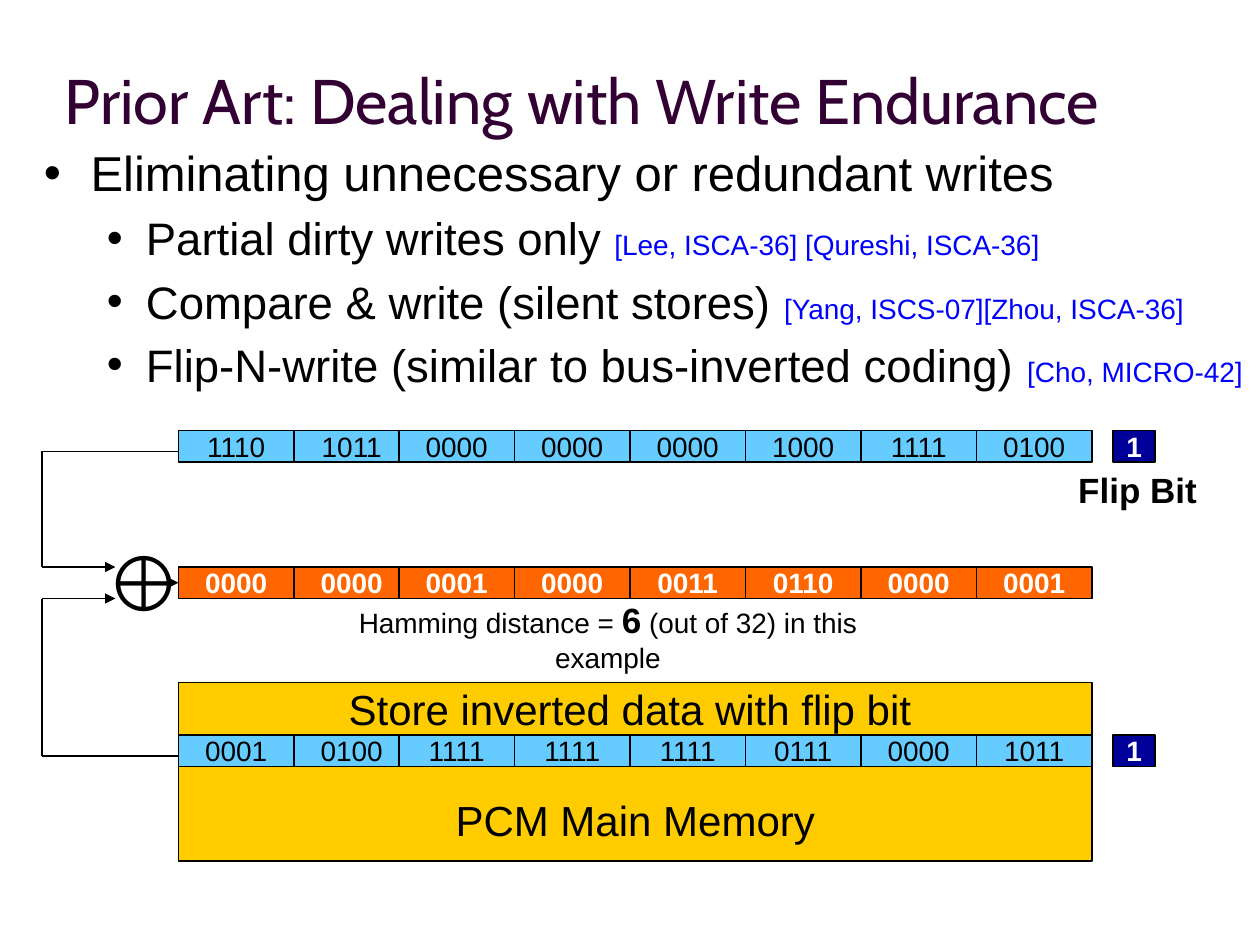
import pptx
import pptx.util
import pptx.dml.color
import pptx.enum.shapes
import pptx.enum.text
import pptx.oxml.ns
from lxml import etree

Pt = pptx.util.Pt
RGB = pptx.dml.color.RGBColor
ANCHOR = pptx.enum.text.MSO_ANCHOR
ALIGN = pptx.enum.text.PP_ALIGN
qn = pptx.oxml.ns.qn

BLACK = RGB(0x00, 0x00, 0x00)
WHITE = RGB(0xFF, 0xFF, 0xFF)
PLUM = RGB(0x33, 0x00, 0x33)
CITE_BLUE = RGB(0x00, 0x00, 0xFF)
SKY = RGB(0x66, 0xCC, 0xFF)
ORANGE = RGB(0xFF, 0x66, 0x00)
NAVY = RGB(0x00, 0x00, 0x99)
GOLD = RGB(0xFF, 0xCC, 0x00)

COLS, ROWS = 120, 90
CELL_W, CELL_H = 11, 3


def grid(n):
    return pptx.util.Inches(n / 12)


def add_run(p, text, size, color=BLACK, bold=False, font="Arial"):
    r = p.add_run()
    r.text = text
    r.font.size = Pt(size)
    r.font.name = font
    r.font.bold = bold
    r.font.color.rgb = color


def add_text(s, box, anchor=ANCHOR.TOP, wrap=False, align=ALIGN.CENTER):
    sp = s.shapes.add_textbox(*map(grid, box))
    tf = sp.text_frame
    tf.word_wrap = wrap
    tf.vertical_anchor = anchor
    tf.paragraphs[0].alignment = align
    return tf


def add_rect(s, box, fill, text, size=16, color=BLACK, bold=False):
    sp = s.shapes.add_shape(pptx.enum.shapes.MSO_SHAPE.RECTANGLE, *map(grid, box))
    sp.shadow.inherit = False
    sp.fill.solid()
    sp.fill.fore_color.rgb = fill
    sp.line.color.rgb = BLACK
    sp.line.width = Pt(0.75)
    tf = sp.text_frame
    tf.word_wrap = False
    tf.vertical_anchor = ANCHOR.MIDDLE
    p = tf.paragraphs[0]
    p.alignment = ALIGN.CENTER
    add_run(p, text, size, color, bold)
    return sp


def add_line(s, x1, y1, x2, y2, arrow=False):
    line = s.shapes.add_connector(
        pptx.enum.shapes.MSO_CONNECTOR.STRAIGHT, *map(grid, (x1, y1, x2, y2)))
    line.line.color.rgb = BLACK
    line.line.width = Pt(0.75)
    if arrow:
        etree.SubElement(line.line._get_or_add_ln(), qn("a:tailEnd"), type="triangle")
    etree.SubElement(line._element.spPr, qn("a:effectLst"))
    return line


def add_bullet(p, left, hanging):
    pPr = p._p.get_or_add_pPr()
    pPr.set("marL", str(pptx.util.Inches(left)))
    pPr.set("indent", str(-pptx.util.Inches(hanging)))
    color = etree.SubElement(pPr, qn("a:buClr"))
    etree.SubElement(color, qn("a:srgbClr"), val=str(BLACK))
    etree.SubElement(pPr, qn("a:buFont"), typeface="Arial")
    etree.SubElement(pPr, qn("a:buChar"), char="•")


def title(s, box):
    tf = add_text(s, box, ANCHOR.MIDDLE, True, ALIGN.LEFT)
    add_run(tf.paragraphs[0], "Prior Art: Dealing with Write Endurance", 36, PLUM, font="Cabin")


def techniques(s, box):
    tf = add_text(s, box, wrap=True, align=ALIGN.LEFT)
    p = tf.paragraphs[0]
    add_bullet(p, 0.37, 0.37)
    add_run(p, "Eliminating unnecessary or redundant writes", 28)
    for text, cite in (
        ("Partial dirty writes only ", "[Lee, ISCA-36] [Qureshi, ISCA-36]"),
        ("Compare & write (silent stores) ", "[Yang, ISCS-07][Zhou, ISCA-36]"),
        ("Flip-N-write (similar to bus-inverted coding) ", "[Cho, MICRO-42]"),
    ):
        p = tf.add_paragraph()
        p.level = 1
        p.space_before = Pt(5)
        add_bullet(p, 0.81, 0.31)
        add_run(p, text, 26)
        add_run(p, cite, 16, CITE_BLUE)


def word_row(s, x, y, words, fill, color=BLACK, bold=False):
    cells = []
    for i, word in enumerate(words.split()):
        overlap = 1 if i >= 2 else 0
        box = (x + CELL_W * i - overlap, y, CELL_W, CELL_H)
        cells.append(add_rect(s, box, fill, word, 16, color, bold))
    return cells


def flip_bit(s, x, y):
    add_rect(s, (x, y, 4, CELL_H), NAVY, "1", 16, WHITE, True)


def memory(s, box):
    x, y, w, h = box
    block = add_rect(s, box, GOLD, "PCM Main Memory", 24)
    block.text_frame.vertical_anchor = ANCHOR.BOTTOM
    block.text_frame.margin_bottom = grid(1.5)
    word_row(s, x, y + 5, "0001 0100 1111 1111 1111 0111 0000 1011", SKY)
    tf = add_text(s, (x + 15, y - 0.5, 56, 6))
    add_run(tf.paragraphs[0], "Store inverted data with flip bit", 24)
    flip_bit(s, x + w + 2, y + 5)


def new_data(s, x, y):
    word_row(s, x, y, "1110 1011 0000 0000 0000 1000 1111 0100", SKY)
    flip_bit(s, x + 89, y)
    tf = add_text(s, (x + 84.5, y + CELL_H, 13.7, 5.3))
    add_run(tf.paragraphs[0], "Flip Bit", 20, bold=True)


def difference(s, x, y):
    cells = word_row(s, x, y, "0000 0000 0001 0000 0011 0110 0000 0001", ORANGE, WHITE, True)
    p = add_text(s, (x + 10.6, y + 2.4, 60.6, 5.3)).paragraphs[0]
    add_run(p, "Hamming distance = ", 16)
    add_run(p, "6", 20, bold=True)
    add_run(p, " (out of 32) in this example", 16)
    return cells[0]


def xor_wiring(s, box, result):
    x, top, w, h = box
    y = result.top / grid(1)
    right = x + w
    p = add_text(s, (x + 4.9, y - 3.7, 8.2, 10)).paragraphs[0]
    add_run(p, "⊕", 44)
    for source, target in ((top, y), (top + h, y + CELL_H)):
        add_line(s, right, source, x, source)
        add_line(s, x, source, x, target)
        add_line(s, x, target, x + 7, target, arrow=True)
    out = add_line(s, right - 1.6, y + CELL_H / 2, right, y + CELL_H / 2, arrow=True)
    out.end_connect(result, 1)


def main():
    prs = pptx.Presentation()
    prs.slide_width, prs.slide_height = grid(COLS), grid(ROWS)
    s = prs.slides.add_slide(prs.slide_layouts[6])
    title(s, (5, 2, 112, 15))
    techniques(s, (3, 13, 117, 27))
    new_data(s, 17, 41)
    result = difference(s, 17, 54)
    memory(s, (17, 65, 87, 17))
    xor_wiring(s, (4, 43, 13, 29), result)
    prs.save("out.pptx")


if __name__ == "__main__":
    main()
